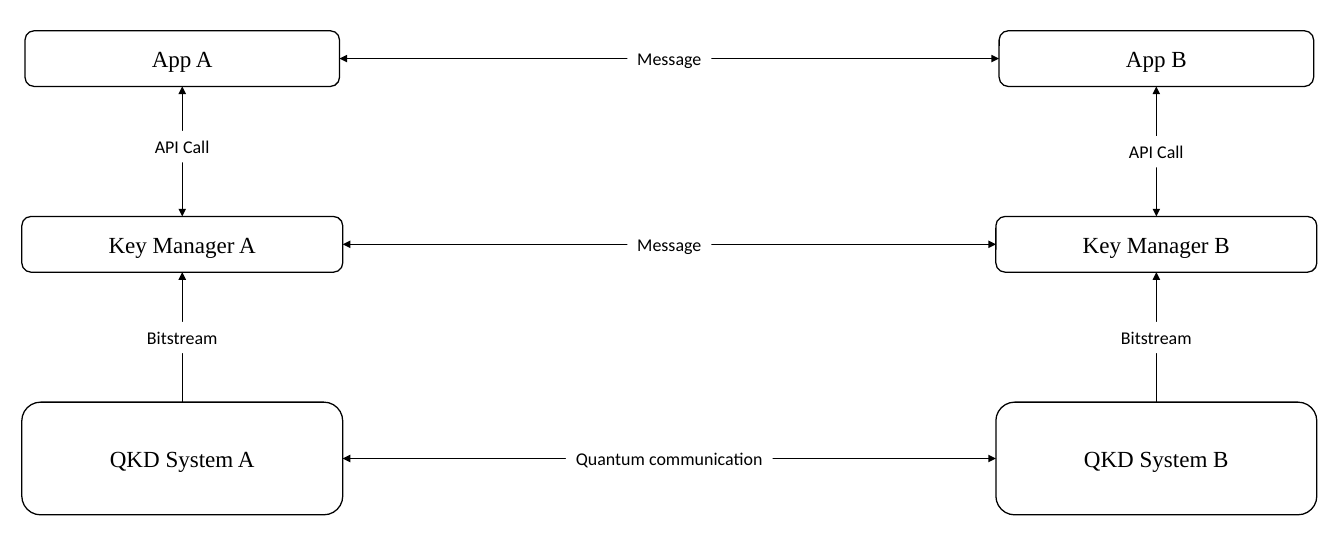
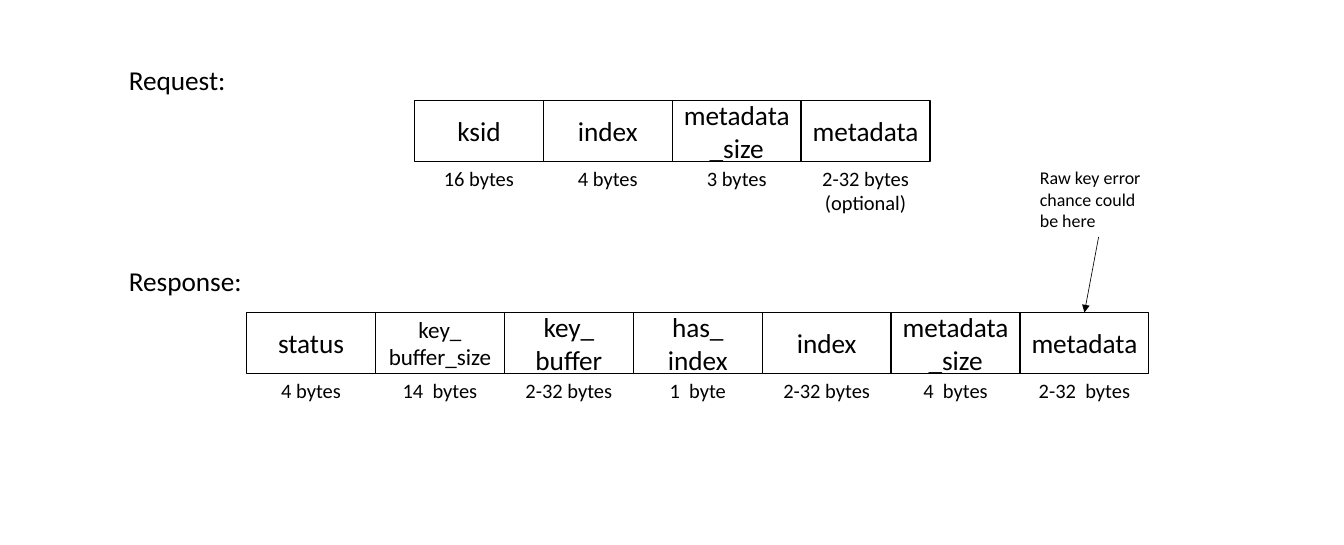
from lxml.etree import SubElement
from pptx import Presentation
from pptx.dml.color import RGBColor
from pptx.enum.shapes import MSO_CONNECTOR as CONN, MSO_SHAPE as SHAPE
from pptx.enum.text import MSO_ANCHOR as ANCHOR, MSO_AUTO_SIZE as AUTO, PP_ALIGN as ALIGN
from pptx.oxml.ns import qn
from pptx.util import Pt

INK, PAPER = "000000", "FFFFFF"
SANS, SERIF = "Calibri", "Times New Roman"
TOP, LEFT, BOTTOM, RIGHT = range(4)
SLIDE_W, SLIDE_H = 1049, 425.5

LAYERS = [
    ("App", 24, 245.5, 43.5),
    ("Key Manager", 169, 250.5, 43.5),
    ("QKD System", 314, 250.5, 88),
]
COLUMN_W, COLUMN_A, COLUMN_B = 250.5, 17, 777.3
LABEL_H = 24.5

FIELD_W, FIELD_H = 100.6, 47.5
REQUEST = [
    ("ksid", "16 bytes"),
    ("index", "4 bytes"),
    ("metadata_size", "3 bytes"),
    ("metadata", "2-32 bytes (optional)"),
]
RESPONSE = [
    ("status", "4 bytes"),
    ("key_ buffer_size", "14  bytes"),
    ("key_ buffer", "2-32 bytes"),
    ("has_ index", "1  byte"),
    ("index", "2-32 bytes"),
    ("metadata_size", "4  bytes"),
    ("metadata", "2-32  bytes"),
]
FIELD_SIZES = {"key_ buffer_size": 18}


def color(hex_value):
    return RGBColor.from_string(hex_value)


def write(sp, text, size, font=SANS, align=ALIGN.CENTER, wrap=True):
    tf = sp.text_frame
    tf.word_wrap = wrap
    p = tf.paragraphs[0]
    p.alignment = align
    r = p.add_run()
    r.text = text
    r.font.size = Pt(size)
    r.font.name = font
    r.font.color.rgb = color(INK)
    return tf


def add_box(s, kind, x, y, w, h, text, size, font=SANS):
    sp = s.shapes.add_shape(kind, Pt(x), Pt(y), Pt(w), Pt(h))
    sp.shadow.inherit = False
    sp.fill.solid()
    sp.fill.fore_color.rgb = color(PAPER)
    sp.line.color.rgb = color(INK)
    sp.line.width = Pt(1)
    write(sp, text, size, font).vertical_anchor = ANCHOR.MIDDLE
    return sp


def add_text(s, x, y, w, h, text, size, align=ALIGN.LEFT, wrap=True):
    sp = s.shapes.add_textbox(Pt(x), Pt(y), Pt(w), Pt(h))
    write(sp, text, size, align=align, wrap=wrap).auto_size = AUTO.SHAPE_TO_FIT_TEXT
    return sp


def add_arrow(s, start, start_side, end, end_side, both=False):
    cn = s.shapes.add_connector(CONN.STRAIGHT, 0, 0, 0, 0)
    cn.begin_connect(start, start_side)
    cn.end_connect(end, end_side)
    cn.line.color.rgb = color(INK)
    cn.line.width = Pt(0.5)
    ln = cn.line._get_or_add_ln()
    for tag in ("a:headEnd", "a:tailEnd") if both else ("a:tailEnd",):
        SubElement(ln, qn(tag), type="triangle")
    SubElement(cn._element.spPr, qn("a:effectLst"))


def add_label(s, cx, cy, w, text):
    sp = add_text(s, cx - w / 2, cy - LABEL_H / 2, w, LABEL_H, text, 14,
                  ALIGN.CENTER, wrap=False)
    sp.fill.solid()
    sp.fill.fore_color.rgb = color(PAPER)


def add_column(s, x, w, party, api_y):
    cx = x + w / 2
    app, manager, qkd = stack = [
        add_box(s, SHAPE.ROUNDED_RECTANGLE, cx - box_w / 2, y, box_w, h,
                f"{name} {party}", 18, SERIF)
        for name, y, box_w, h in LAYERS
    ]
    add_arrow(s, app, BOTTOM, manager, TOP, both=True)
    add_arrow(s, qkd, TOP, manager, BOTTOM)
    add_label(s, cx, api_y, 57.5, "API Call")
    add_label(s, cx, 263.5, 70.5, "Bitstream")
    return stack


def add_links(s, stack_a, stack_b):
    cx = (COLUMN_A + COLUMN_B + COLUMN_W) / 2
    links = [("Message", 65.5), ("Message", 65.5), ("Quantum communication", 161.5)]
    for a, b, (_, y, _, h), (text, w) in zip(stack_a, stack_b, LAYERS, links):
        add_arrow(s, a, RIGHT, b, LEFT, both=True)
        add_label(s, cx, y + h / 2, w, text)


def add_record(s, x, y, fields):
    boxes = []
    for i, (name, length) in enumerate(fields):
        left = x + i * FIELD_W
        boxes.append(add_box(s, SHAPE.RECTANGLE, left, y, FIELD_W, FIELD_H,
                             name, FIELD_SIZES.get(name, 21.3)))
        add_text(s, left, y + FIELD_H, FIELD_W, 26.5, length, 16, ALIGN.CENTER)
    return boxes


def add_heading(s, y, text):
    add_text(s, 93.5, y, 134, 29, text, 21.3)


def build_architecture(s):
    stack_a = add_column(s, COLUMN_A, COLUMN_W, "A", 114.5)
    stack_b = add_column(s, COLUMN_B, COLUMN_W, "B", 118.5)
    add_links(s, stack_a, stack_b)


def build_messages(s):
    add_heading(s, 45.5, "Request:")
    add_record(s, 323.5, 78.5, REQUEST)
    add_heading(s, 202.5, "Response:")
    metadata = add_record(s, 192.5, 244, RESPONSE)[-1]
    note = add_text(s, 804.5, 126.5, 106, 58.5, "Raw key error chance could be here", 14)
    add_arrow(s, note, BOTTOM, metadata, TOP)


def main():
    prs = Presentation()
    prs.slide_width, prs.slide_height = Pt(SLIDE_W), Pt(SLIDE_H)
    for build in (build_architecture, build_messages):
        build(prs.slides.add_slide(prs.slide_layouts[6]))
    prs.save("out.pptx")


if __name__ == "__main__":
    main()
